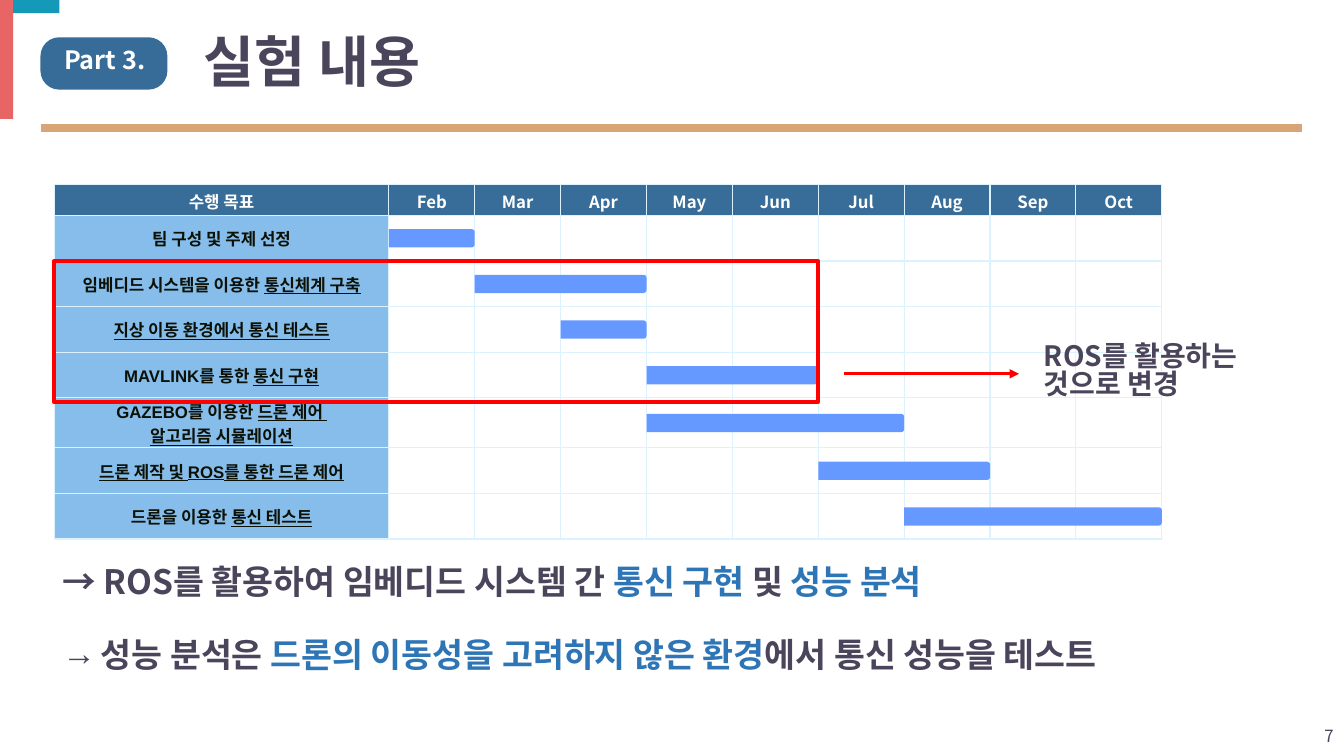
from lxml import etree
from pptx import Presentation
from pptx.dml.color import RGBColor
from pptx.enum.shapes import MSO_CONNECTOR, MSO_SHAPE
from pptx.enum.text import MSO_ANCHOR, MSO_AUTO_SIZE, PP_ALIGN
from pptx.oxml.ns import qn
from pptx.util import Cm, Pt

STRAIGHT = MSO_CONNECTOR.STRAIGHT
RECT, PILL = MSO_SHAPE.RECTANGLE, MSO_SHAPE.ROUNDED_RECTANGLE
BAR = MSO_SHAPE.ROUND_2_SAME_RECTANGLE
MIDDLE = MSO_ANCHOR.MIDDLE
LEFT, CENTER, RIGHT = PP_ALIGN.LEFT, PP_ALIGN.CENTER, PP_ALIGN.RIGHT

FONT = "Noto Sans CJK KR"
WHITE = RGBColor(0xFF, 0xFF, 0xFF)
INK = RGBColor(0x4B, 0x45, 0x5C)
ACCENT = RGBColor(0x2E, 0x75, 0xB6)
PILL_BLUE = RGBColor(0x37, 0x6C, 0x98)
HEADER_BLUE = RGBColor(0x37, 0x6D, 0x98)
GOAL_BLUE = RGBColor(0x86, 0xBD, 0xEA)
GOAL_INK = RGBColor(0x0B, 0x11, 0x07)
BAR_BLUE = RGBColor(0x66, 0x99, 0xFF)
CORAL = RGBColor(0xE7, 0x65, 0x65)
TEAL = RGBColor(0x14, 0x99, 0xB8)
SAND = RGBColor(0xD9, 0xA5, 0x76)
RED = RGBColor(0xFF, 0, 0)
GRID = "DDF2FF"

# Content: each goal has lines of (text, underlined) spans, first month, months
HEADERS = ["수행 목표", "Feb", "Mar", "Apr", "May", "Jun", "Jul", "Aug", "Sep", "Oct"]
GOALS = [
    ([[("팀 구성 및 주제 선정", False)]], 0, 1),
    ([[("임베디드 시스템을 이용한 ", False), ("통신체계 구축", True)]], 1, 2),
    ([[("지상 이동 환경에서 통신 테스트", True)]], 2, 1),
    ([[("MAVLINK를 통한 ", False), ("통신 구현", True)]], 3, 2),
    ([[("GAZEBO를 이용한 ", False), ("드론 제어 ", True)],
      [("알고리즘 시뮬레이션", True)]], 3, 3),
    ([[("드론 제작 및 ROS를 통한 드론 제어", True)]], 5, 2),
    ([[("드론을 이용한 ", False), ("통신 테스트", True)]], 6, 3),
]
SUMMARY = [
    [("→ ROS를 활용하여 임베디드 시스템 간 ", INK), ("통신 구현 ", ACCENT),
     ("및 ", INK), ("성능 분석", ACCENT)],
    [("성능 분석은 ", INK), ("드론의 이동성을 고려하지 않은 환경", ACCENT),
     ("에서 통신 성능을 테스트", INK)],
]

# Table geometry in centimetres
TABLE_LEFT, TABLE_TOP = 1.37, 4.65
GOAL_WIDTH, MONTHS_WIDTH = 8.43, 19.48
MONTH_WIDTH = MONTHS_WIDTH / (len(HEADERS) - 1)
ROW_HEIGHTS = [0.78] + [1.15 if len(lines) == 1 else 1.26 for lines, _, _ in GOALS]
ROW_TOPS = [TABLE_TOP + sum(ROW_HEIGHTS[:row]) for row in range(len(ROW_HEIGHTS))]
BAR_HEIGHT = 0.46
FIRST_CHANGED, LAST_CHANGED, CHANGED_MONTHS = 2, 4, 5


def add_span(para, text, size, color, bold=True, latin=FONT, underline=None):
    span = para.add_run()
    span.text = text
    font = span.font
    font.size, font.bold, font.underline = Pt(size), bold, underline
    font.color.rgb = color
    font.name = latin
    etree.SubElement(span._r.get_or_add_rPr(), qn("a:ea"), typeface=FONT)


def add_box(page, left, top, width, height):
    box = page.shapes.add_textbox(Cm(left), Cm(top), Cm(width), Cm(height))
    box.text_frame.word_wrap = True
    return box.text_frame


def add_label(page, area, text, size, spacing=0.82):
    frame = add_box(page, *area)
    frame.paragraphs[0].line_spacing = spacing
    add_span(frame.paragraphs[0], text, size, WHITE if size == 18 else INK)


def add_block(page, kind, area, fill=None):
    shape = page.shapes.add_shape(kind, *[Cm(value) for value in area])
    shape.shadow.inherit = False
    if fill is None:
        shape.fill.background()
    else:
        shape.fill.solid()
        shape.fill.fore_color.rgb = fill
        shape.line.fill.background()
    return shape


def add_line(page, left, right, y, color, width):
    line = page.shapes.add_connector(STRAIGHT, Cm(left), Cm(y), Cm(right), Cm(y))
    line.line.color.rgb = color
    line.line.width = Pt(width)
    etree.SubElement(line._element.spPr, qn("a:effectLst"))
    return line


def format_cell(cell, fill=None):
    cell.margin_top = cell.margin_bottom = Cm(0.02)
    props = cell._tc.get_or_add_tcPr()
    for side in ("lnL", "lnR", "lnT", "lnB"):
        border = etree.SubElement(props, qn("a:" + side), w=str(Pt(1)))
        paint = etree.SubElement(border, qn("a:solidFill"))
        etree.SubElement(paint, qn("a:srgbClr"), val=GRID)
    if fill is None:
        cell.fill.background()
    else:
        cell.fill.solid()
        cell.fill.fore_color.rgb = fill


def add_schedule(page):
    table = page.shapes.add_table(
        len(ROW_HEIGHTS), len(HEADERS), Cm(TABLE_LEFT), Cm(TABLE_TOP),
        Cm(GOAL_WIDTH + MONTHS_WIDTH), Cm(sum(ROW_HEIGHTS))).table
    for index, column in enumerate(table.columns):
        column.width = Cm(MONTH_WIDTH if index else GOAL_WIDTH)
    for row, height in zip(table.rows, ROW_HEIGHTS):
        row.height = Cm(height)

    for index, header in enumerate(HEADERS):
        cell = table.cell(0, index)
        format_cell(cell, HEADER_BLUE)
        cell.margin_top = Cm(0.12)
        para = cell.text_frame.paragraphs[0]
        para.alignment = CENTER
        add_span(para, header, 12, WHITE)

    for row, (lines, first_month, months) in enumerate(GOALS, 1):
        for column in range(len(HEADERS)):
            format_cell(table.cell(row, column), None if column else GOAL_BLUE)
        cell = table.cell(row, 0)
        cell.vertical_anchor = MIDDLE
        for number, line in enumerate(lines):
            frame = cell.text_frame
            para = frame.add_paragraph() if number else frame.paragraphs[0]
            para.alignment = CENTER
            for text, underlined in line:
                add_span(para, text, 12, GOAL_INK, latin="Arial", underline=underlined)

        # Upright bar turned so that its rounded end points right
        length = months * MONTH_WIDTH
        center_x = TABLE_LEFT + GOAL_WIDTH + first_month * MONTH_WIDTH + length / 2
        center_y = ROW_TOPS[row] + ROW_HEIGHTS[row] / 2
        bar = add_block(page, BAR, (center_x - BAR_HEIGHT / 2, center_y - length / 2,
                                    BAR_HEIGHT, length), BAR_BLUE)
        bar.rotation = 90


def add_summary(page):
    frame = add_box(page, 1.32, 14.2, 27.13, 4.37)
    for number, spans in enumerate(SUMMARY):
        para = frame.add_paragraph() if number else frame.paragraphs[0]
        para.line_spacing = 0.82
        if number:
            para.space_before = Pt(28.5)
            props = para._p.get_or_add_pPr()
            props.set("marL", str(Cm(0.97)))
            props.set("indent", str(-Cm(0.97)))
            etree.SubElement(props, qn("a:buFont"), typeface="Arial")
            etree.SubElement(props, qn("a:buChar"), char="→")
        for text, color in spans:
            add_span(para, text, 24, color)


def main():
    deck = Presentation()
    deck.slide_width, deck.slide_height = Cm(33.87), Cm(19.05)
    page = deck.slides.add_slide(deck.slide_layouts[5])

    # Heading band
    pill = add_block(page, PILL, (1.02, 0.94, 3.2, 1.32), PILL_BLUE)
    pill.adjustments[0] = 0.36
    add_block(page, RECT, (0, 0, 0.33, 3), CORAL)
    add_block(page, RECT, (0.33, 0, 1.17, 0.33), TEAL)
    add_line(page, 1.04, 32.82, 3.23, SAND, 6)
    title = page.shapes.title
    title.left, title.top, title.width, title.height = Cm(4.88), Cm(1.02), Cm(26.67), Cm(1.32)
    frame = title.text_frame
    frame.auto_size = MSO_AUTO_SIZE.NONE
    frame.vertical_anchor = MIDDLE
    frame.paragraphs[0].alignment = LEFT
    frame.paragraphs[0].line_spacing = 0.8
    add_span(frame.paragraphs[0], "실험 내용", 39.6, INK)
    add_label(page, (1.37, 1.12, 2.79, 1.02), "Part 3.", 18)

    # Schedule with the changed goals framed
    add_schedule(page)
    top = ROW_TOPS[FIRST_CHANGED]
    changed = add_block(page, RECT, (
        TABLE_LEFT, top, GOAL_WIDTH + CHANGED_MONTHS * MONTH_WIDTH,
        ROW_TOPS[LAST_CHANGED + 1] - top + 0.1))
    changed.line.color.rgb = RED
    changed.line.width = Pt(3)

    # Conclusions and the note on the change
    add_summary(page)
    arrow = add_line(page, 21.26, 25.68, 9.42, RED, 2.25)
    etree.SubElement(arrow.line._get_or_add_ln(), qn("a:tailEnd"), type="triangle")
    add_label(page, (26.06, 8.56, 6.88, 1.96), "ROS를 활용하는 것으로 변경", 20)

    # Page number
    frame = add_box(page, 28.14, 18.03, 5.72, 1.02)
    frame.vertical_anchor = MIDDLE
    frame.paragraphs[0].alignment = RIGHT
    add_span(frame.paragraphs[0], "7", 12, INK, bold=False)

    deck.save("out.pptx")


if __name__ == "__main__":
    main()
